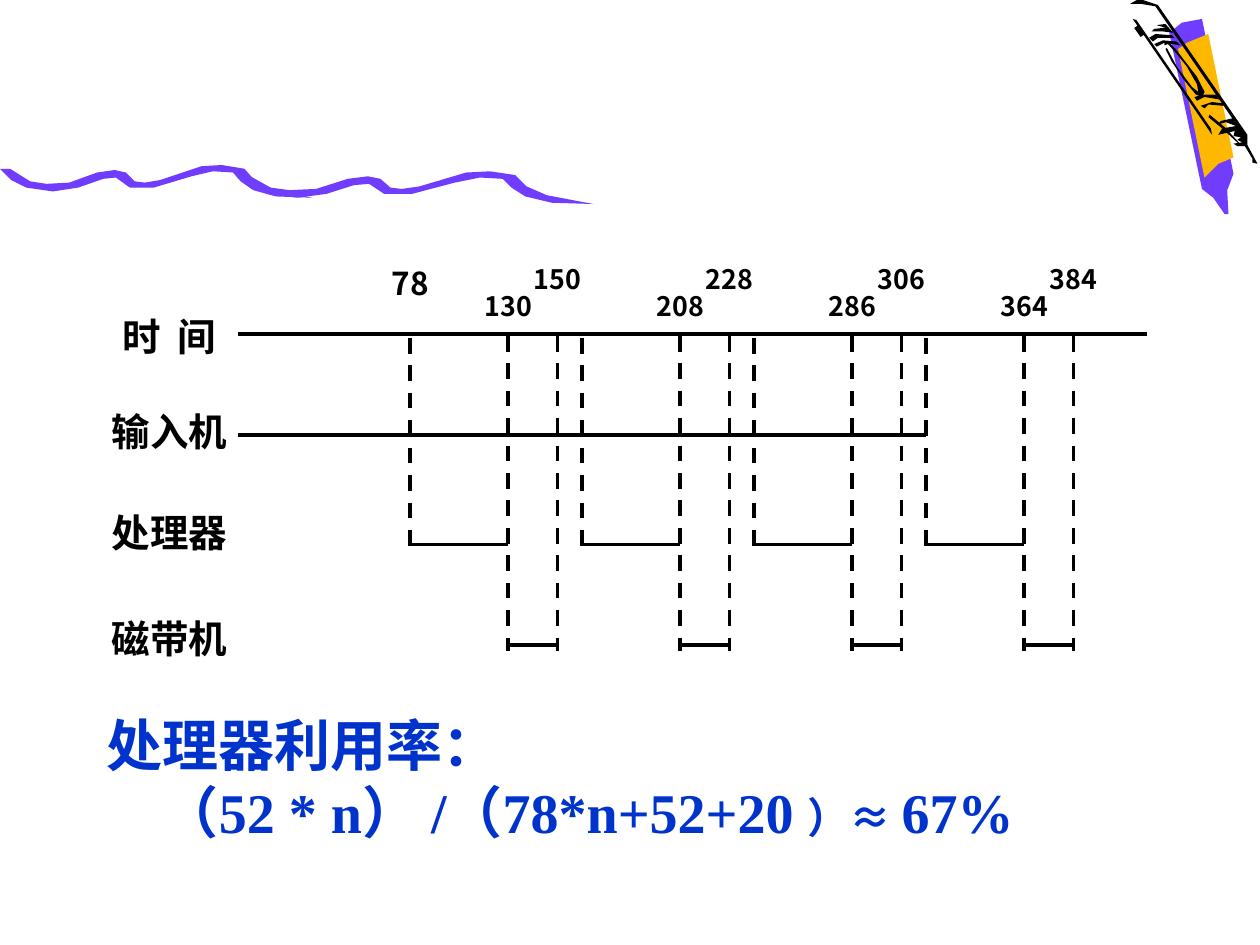
from lxml import etree
from pptx import Presentation, util as u
from pptx.dml.color import RGBColor
from pptx.enum import dml, shapes, text
from pptx.oxml.ns import qn

COLORS = {"ink": "000000", "violet": "703DFF", "amber": "FFB800", "blue": "0033CC"}
CJK, LATIN = "Noto Sans CJK SC", "Times New Roman"
LEFT, TOP, COL, ROW = 1.89, 2.65, 0.195, 0.8
CYCLE, CPU, TAPE, JOBS = 7, 4, 2, 4
INPUT_ROW, CPU_ROW, TAPE_ROW = 1, 2.09, 3.09

prs = Presentation()
prs.slide_width, prs.slide_height = u.Inches(10), u.Inches(7.5)
s = prs.slides.add_slide(prs.slide_layouts[6])


def add_line(c1, r1, c2, r2, dashed=False, width=2.25):
    ln = s.shapes.add_connector(
        shapes.MSO_CONNECTOR.STRAIGHT,
        u.Inches(LEFT + c1 * COL), u.Inches(TOP + r1 * ROW),
        u.Inches(LEFT + c2 * COL), u.Inches(TOP + r2 * ROW))
    ln.line.color.rgb = RGBColor.from_string(COLORS["ink"])
    ln.line.width = u.Pt(width)
    if dashed:
        ln.line.dash_style = dml.MSO_LINE.DASH
    etree.SubElement(ln._element.spPr, qn("a:effectLst"))


def add_label(words, col, row, cols, size, spacing=1.0):
    sp = s.shapes.add_textbox(u.Inches(LEFT + col * COL), u.Inches(TOP + row * ROW),
                              u.Inches(cols * COL), u.Inches(0.7 * ROW))
    tf = sp.text_frame
    tf.word_wrap = True
    tf.margin_left = tf.margin_right = tf.margin_top = tf.margin_bottom = 0
    p = tf.paragraphs[0]
    p.text = words
    p.alignment = text.PP_ALIGN.CENTER
    p.line_spacing = spacing
    r = p.runs[0]
    r.font.size, r.font.bold, r.font.name = u.Pt(size), True, CJK
    r.font.color.rgb = RGBColor.from_string(COLORS["ink"])
    rPr = r.font._element
    etree.SubElement(rPr, qn("a:ea"), typeface=CJK)
    if " " in words:
        rPr.set("spc", "250")


wave = [(8, 134), (24, 144), (37, 146), (55, 145), (77, 137), (91, 135), (100, 137),
        (107, 144), (115, 145), (127, 143), (160, 132), (176, 131), (194, 134),
        (202, 143), (216, 150), (248, 157), (219, 156), (201, 151), (191, 144),
        (185, 137), (169, 136), (152, 140), (122, 149), (103, 149), (92, 141),
        (82, 142), (62, 149), (42, 152), (21, 149), (9, 143), (0, 134)]
next_wave = [(round(188 + 1.14 * x), y + 5) for x, y in wave]

outlines = [
    ("violet", [(928, 26), (954, 150), (963, 157), (972, 170), (975, 170), (974, 151),
                (979, 138), (954, 15), (938, 18)]),
    ("amber", [(956, 141), (967, 130), (979, 125), (959, 27), (942, 34), (935, 39)]),
    ("violet", wave),
    ("violet", next_wave),
    ("ink", [(959, 93), (970, 102), (984, 115), (984, 114), (972, 101), (960, 91)]),
    ("ink", [(914, 25), (923, 25), (931, 26), (925, 19), (918, 20), (925, 22), (916, 23)]),
    ("ink", [(925, 39), (930, 49), (940, 64), (949, 75), (954, 77), (956, 73), (950, 61),
             (940, 48), (933, 39), (927, 33), (924, 33), (924, 36), (927, 35), (934, 43),
             (942, 53), (950, 67), (951, 73), (946, 69), (934, 53), (926, 38)]),
    ("ink", [(899, 15), (962, 107), (961, 102), (902, 16)]),
    ("ink", [(967, 107), (970, 102), (981, 100), (973, 97), (966, 99), (969, 96),
             (978, 94), (917, 5), (905, 3), (897, 3), (904, -1), (919, 4), (990, 107),
             (990, 115), (998, 130), (994, 129), (994, 126), (988, 116), (982, 116),
             (979, 114), (986, 113), (982, 111), (985, 109), (979, 108), (980, 104)]),
    ("ink", [(956, 86), (959, 83), (971, 84), (970, 82), (962, 81), (953, 84)]),
    ("ink", [(950, 80), (956, 77), (968, 79), (965, 75), (956, 75), (948, 77)]),
    ("ink", [(918, 37), (924, 34), (937, 36), (934, 33), (923, 32), (916, 35)]),
    ("ink", [(915, 33), (919, 30), (932, 30), (930, 28), (917, 27), (912, 30)]),
]
for color, points in outlines:
    fb = s.shapes.build_freeform(*points[0], scale=u.Inches(0.01))
    fb.add_line_segments(points[1:], close=True)
    sp = fb.convert_to_shape()
    sp.shadow.inherit = False
    sp.fill.solid()
    sp.fill.fore_color.rgb = RGBColor.from_string(COLORS[color])
    sp.line.fill.background()
add_line(36.56, -3.05, 36.82, -2.96, width=3)

sp = s.shapes.add_textbox(u.Inches(0.75), u.Inches(5.64), u.Inches(8.67), u.Inches(1.12))
tf = sp.text_frame
tf.word_wrap = True
tf.margin_top = 0
formula = [[("处理器利用率：", 32)],
           [("（52 * n） /（78*n+52+20 ", 32), ("）≈ ", 24), ("67%", 32)]]
for i, parts in enumerate(formula):
    p = tf.add_paragraph() if i else tf.paragraphs[0]
    if i:
        p._p.get_or_add_pPr().set("marL", str(u.Pt(32)))
    for words, size in parts:
        r = p.add_run()
        r.text = words
        r.font.size, r.font.bold, r.font.name = u.Pt(size), True, LATIN
        r.font.color.rgb = RGBColor.from_string(COLORS["blue"])
        etree.SubElement(r.font._element, qn("a:ea"), typeface=CJK)

for words, row in [("时 间", -0.21), ("输入机", 0.74), ("处理器", 1.74), ("磁带机", 2.79)]:
    add_label(words, -5.8, row, 6, 22)

add_line(0, 0, 37, 0)
for job in range(JOBS):
    start = CYCLE * (job + 1)
    cpu_end = start + CPU
    tape_end = cpu_end + TAPE
    add_line(start - CYCLE, INPUT_ROW, start, INPUT_ROW)
    add_line(start, CPU_ROW, cpu_end, CPU_ROW)
    add_line(cpu_end, TAPE_ROW, tape_end, TAPE_ROW)
    add_line(start, 0.04, start, CPU_ROW + 0.04, dashed=True)
    for col in (cpu_end, tape_end):
        add_line(col, 0.02, col, TAPE_ROW + 0.06, dashed=True)
    add_label(str(130 + 78 * job), cpu_end - 1, -0.4, 2, 15.3, 0.9)
    add_label(str(150 + 78 * job), tape_end - 1, -0.67, 2, 15.3, 0.9)
add_label("78", CYCLE - 1, -0.69, 2, 18)

prs.save("out.pptx")
